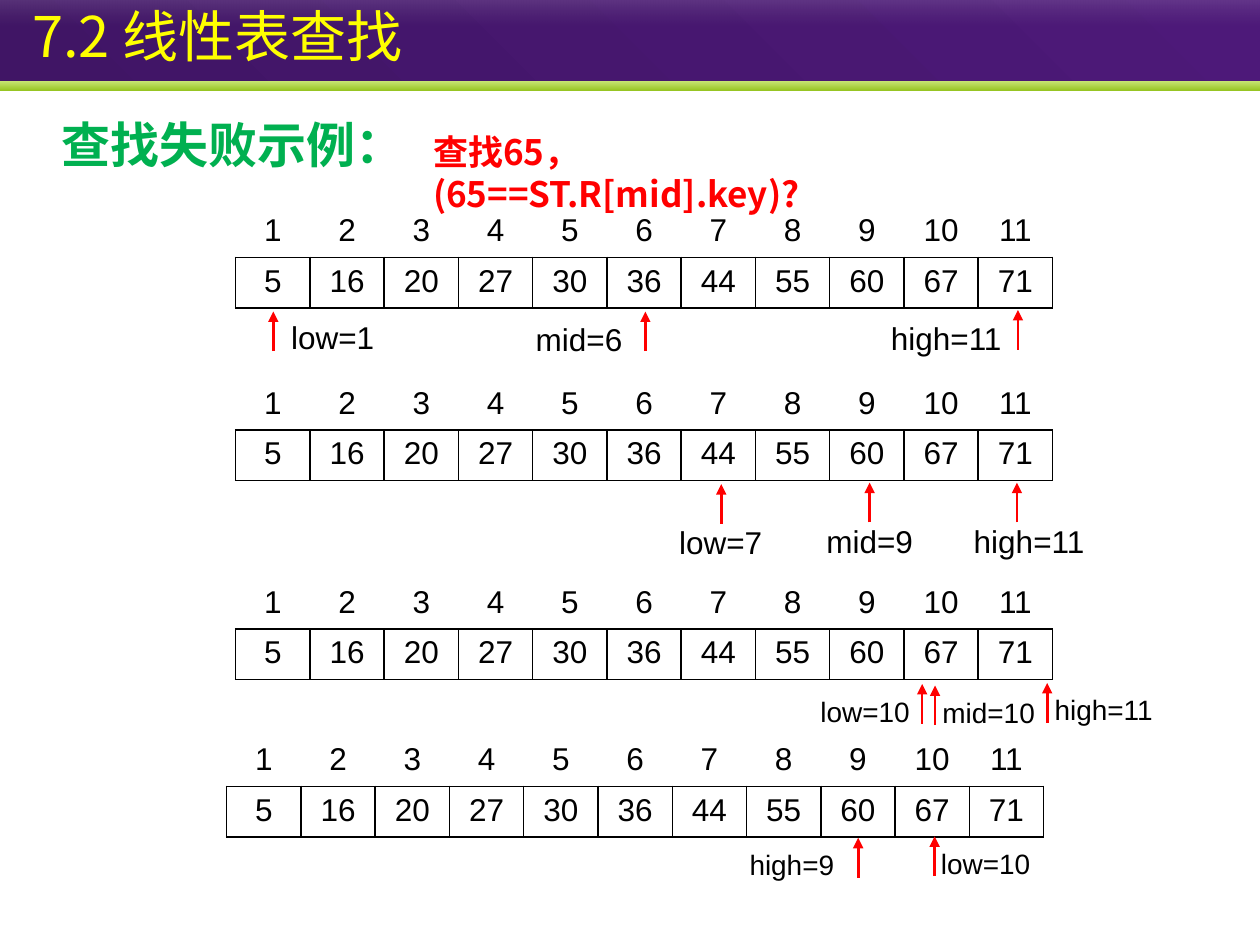
from pptx import Presentation, util as u
from pptx.dml.color import RGBColor
from pptx.enum import shapes as sh, text as tx
from pptx.oxml.ns import qn
from lxml import etree

PURPLE_DARK, PURPLE = RGBColor(0x40, 0x15, 0x65), RGBColor(0x4D, 0x19, 0x79)
LIME_LIGHT, LIME = RGBColor(0xC9, 0xE5, 0x76), RGBColor(0x97, 0xC5, 0x23)
WHITE, GRAY = RGBColor(0xFF, 0xFF, 0xFF), RGBColor(0xB6, 0xB6, 0xB6)
YELLOW, GREEN = RGBColor(0xFF, 0xFF, 0x00), RGBColor(0x00, 0xB0, 0x50)
RED, BLACK = RGBColor(0xFF, 0x00, 0x00), RGBColor(0x00, 0x00, 0x00)
LATIN, HAN = "Arial", "Noto Sans CJK SC"

KEYS = [5, 16, 20, 27, 30, 36, 44, 55, 60, 67, 71]
TABLE_WIDTH = 16.47
HEADER_HEIGHT = 1.0
ARROW_LENGTH = 0.8

# Each round: left, top, key row height, label size, pointers.
# Pointer: label, arrow x, arrow tip y, label x, label y, label width (from the round's corner).
ROUNDS = [
    (4.75, 4.17, 0.97, 18, [("low=1", 0.76, 2.11, 1.12, 2.24, 1.7),
                            ("mid=6", 8.26, 2.11, 6.05, 2.29, 1.75),
                            ("high=11", 15.77, 2.08, 13.21, 2.26, 2.26)]),
    (4.75, 7.65, 1.02, 18, [("low=7", 9.79, 2.11, 8.94, 2.9, 1.7),
                            ("mid=9", 12.78, 2.08, 11.91, 2.87, 1.75),
                            ("high=11", 15.75, 2.08, 14.88, 2.87, 2.26)]),
    (4.75, 11.66, 1.02, 16, [("low=10", 13.84, 2.13, 11.79, 2.34, 1.83),
                             ("mid=10", 14.1, 2.16, 14.25, 2.36, 1.88),
                             ("high=11", 16.36, 2.11, 16.51, 2.31, 2.01)]),
    (4.57, 14.83, 1.02, 16, [("high=9", 12.73, 2.06, 10.54, 2.26, 1.73),
                             ("low=10", 14.27, 2.03, 14.4, 2.24, 1.83)]),
]


def add_run(paragraph, words, size, color, font=LATIN, bold=False):
    run = paragraph.add_run()
    run.text = words
    run.font.size, run.font.bold, run.font.name = u.Pt(size), bold, font
    run.font.color.rgb = color
    etree.SubElement(run.font._element, qn("a:ea")).set("typeface", font)


def add_band(slide, top, height, colors, angle, opacities=()):
    band = slide.shapes.add_shape(sh.MSO_SHAPE.RECTANGLE, 0, u.Cm(top), u.Cm(25.4), u.Cm(height))
    band.shadow.inherit = False
    band.line.fill.background()
    band.fill.gradient()
    band.fill.gradient_angle = angle
    stops = list(band.fill.gradient_stops)
    for stop, position, color in zip(stops, (0, 1), colors):
        stop.position = position
        stop.color.rgb = color
    for clr, opacity in zip(band._element.spPr.iter(qn("a:srgbClr")), opacities):
        etree.SubElement(clr, qn("a:alpha")).set("val", str(opacity * 1000))


def add_label(slide, left, top, width, height, words, size, color,
              font=LATIN, bold=False, inset=None, wrap=True):
    label = slide.shapes.add_textbox(u.Cm(left), u.Cm(top), u.Cm(width), u.Cm(height))
    frame = label.text_frame
    frame.word_wrap = wrap
    if inset is not None:
        frame.margin_left = frame.margin_right = u.Cm(inset)
        frame.margin_top = frame.margin_bottom = u.Cm(inset)
    add_run(frame.paragraphs[0], words, size, color, font, bold)


def add_header(slide):
    # Bands behind the title
    add_band(slide, 0, 1.63, (PURPLE_DARK, PURPLE), 45)
    add_band(slide, 1.63, 0.2, (LIME_LIGHT, LIME), 270)
    add_band(slide, 0, 0.51, (WHITE, GRAY), 270, (13, 0))
    # Title, brought in front of the bands
    title = slide.shapes.title
    slide.shapes._spTree.append(title._element)
    title.left, title.top, title.width, title.height = u.Cm(0.15), u.Cm(-0.2), u.Cm(25.15), u.Cm(1.8)
    frame = title.text_frame
    frame.vertical_anchor = tx.MSO_ANCHOR.MIDDLE
    frame.margin_left = u.Cm(0.5)
    frame.paragraphs[0].alignment = tx.PP_ALIGN.LEFT
    add_run(frame.paragraphs[0], "7.2 线性表查找", 32, YELLOW, HAN)


def set_borders(cell, sides):
    properties = cell._tc.get_or_add_tcPr()
    for index, side in enumerate(sides):
        line = etree.Element(qn("a:ln" + side), w=str(u.Pt(1)))
        fill = etree.SubElement(line, qn("a:solidFill"))
        etree.SubElement(fill, qn("a:srgbClr")).set("val", str(BLACK))
        properties.insert(index, line)


def add_key_table(slide, left, top, key_height):
    table = slide.shapes.add_table(2, len(KEYS), u.Cm(left), u.Cm(top), u.Cm(TABLE_WIDTH),
                                   u.Cm(HEADER_HEIGHT + key_height)).table
    table.first_row = table.horz_banding = False
    table.rows[0].height, table.rows[1].height = u.Cm(key_height), u.Cm(key_height)
    for column, key in enumerate(KEYS):
        table.columns[column].width = u.Cm(TABLE_WIDTH / len(KEYS))
        for row, (value, sides) in enumerate(((column + 1, "B"), (key, "LRTB"))):
            cell = table.cell(row, column)
            cell.fill.background()
            set_borders(cell, sides)
            paragraph = cell.text_frame.paragraphs[0]
            paragraph.alignment = tx.PP_ALIGN.CENTER
            add_run(paragraph, str(value), 18, BLACK)


def add_arrow(slide, x, tip):
    arrow = slide.shapes.add_connector(sh.MSO_CONNECTOR.STRAIGHT, u.Cm(x), u.Cm(tip + ARROW_LENGTH),
                                       u.Cm(x), u.Cm(tip))
    arrow.line.color.rgb = RED
    arrow.line.width = u.Pt(1.5)
    etree.SubElement(arrow.line._get_or_add_ln(), qn("a:tailEnd")).set("type", "triangle")
    etree.SubElement(arrow._element.spPr, qn("a:effectLst"))


def add_round(slide, left, top, key_height, size, pointers):
    add_key_table(slide, left, top, key_height)
    for words, arrow_x, tip, label_x, label_y, width in pointers:
        add_arrow(slide, left + arrow_x, top + tip)
        add_label(slide, left + label_x, top + label_y, width, size * 0.042, words, size, BLACK,
                  inset=0, wrap=False)


def build_search_slide(deck):
    slide = deck.slides.add_slide(deck.slide_layouts[5])
    add_header(slide)
    # Heading and the key searched for
    add_label(slide, 0.99, 2.18, 7.7, 1.45, "查找失败示例：", 28, GREEN, HAN, True)
    for search_round in ROUNDS:
        add_round(slide, *search_round)
    add_label(slide, 8.48, 2.51, 10.59, 1.12, "查找65，(65==ST.R[mid].key)?", 20, RED, HAN, True)


deck = Presentation()
deck.slide_width, deck.slide_height = u.Cm(25.4), u.Cm(19.05)
build_search_slide(deck)
deck.save("out.pptx")
